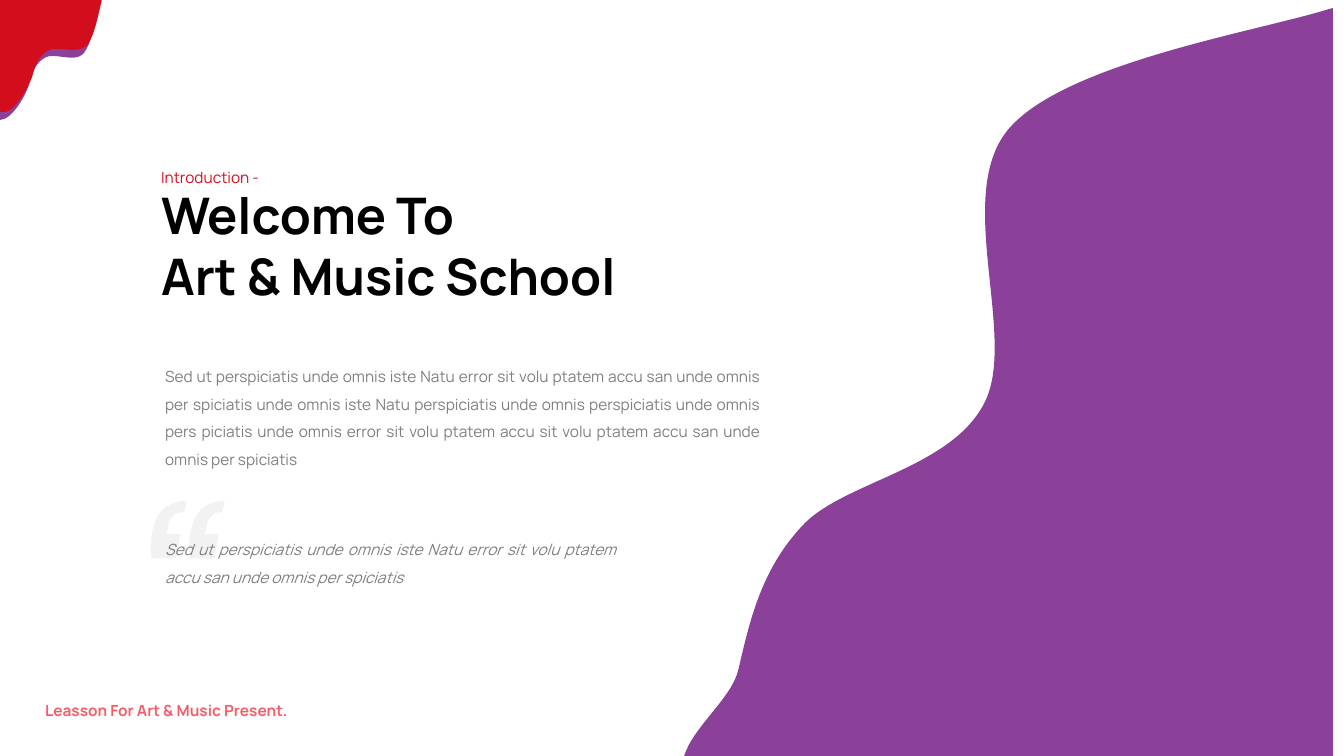
from lxml import etree
from pptx import Presentation
from pptx import util as u
from pptx.dml.color import RGBColor
from pptx.enum import text
from pptx.oxml import ns

PX = 9144
FONT = "Manrope"
COLORS = {
    "purple": "8B409A",
    "red": "D20E1C",
    "coral": "F45E69",
    "grey": "7F7F7F",
    "pale": "F2F2F2",
    "black": "000000",
}

WAVE = [
    (1323, 8), (1323, 750), (679, 750), (681, 745),
    (692, 718, 727, 691, 733, 664), (744, 617, 755, 566, 796, 522),
    (836, 478, 943, 466, 977, 400), (1011, 334, 945, 192, 1002, 127),
    (1059, 62, 1249, 31, 1319, 9),
]
QUOTE_MARK = [
    (223, 497), (221, 508), (216, 508, 212, 509, 210, 512),
    (207, 515, 205, 518, 205, 524), (203, 530), (217, 530), (213, 554),
    (188, 554), (188, 552, 188, 550, 188, 546),
    (188, 540, 188, 534, 189, 528), (191, 518, 195, 510, 200, 505),
    (206, 500, 214, 497, 223, 497),
]
QUOTE_GAP = 38
CORNER_SHADE = [
    (0, 8), (98, 8), (95, 18, 91, 45, 82, 54), (73, 62, 54, 52, 45, 57),
    (36, 62, 32, 71, 29, 83), (26, 94, 12, 119, 0, 119),
]
CORNER = [
    (0, 111), (0, 0), (101, 0), (101, 1), (98, 11, 94, 38, 85, 46),
    (76, 54, 57, 45, 48, 50), (39, 55, 35, 64, 32, 76),
    (28, 87, 13, 115, 1, 111),
]

QUOTE = ("Sed ut perspiciatis unde omnis iste Natu error sit volu ptatem "
         "accu san unde omnis per spiciatis")
BODY = ("Sed ut perspiciatis unde omnis iste Natu error sit volu ptatem "
        "accu san unde omnis per spiciatis unde omnis iste Natu perspiciatis "
        "unde omnis perspiciatis unde omnis pers piciatis unde omnis error sit "
        "volu ptatem accu sit volu ptatem accu san unde omnis per spiciatis")


def rgb(name):
    """Return the named colour."""
    return RGBColor.from_string(COLORS[name])


def bend(line, segment, left, top):
    """Turn a straight outline segment into a cubic curve."""
    line.tag = ns.qn("a:cubicBezTo")
    for point in list(line):
        line.remove(point)
    for x, y in zip(segment[::2], segment[1::2]):
        etree.SubElement(line, ns.qn("a:pt"), x=str(x - left), y=str(y - top))


def add_blob(slide, contours, color):
    """Draw a filled outline of contours; six-number segments are curves."""
    anchors = [[segment[-2:] for segment in contour] for contour in contours]
    left, top = (min(point[axis] for outline in anchors for point in outline)
                 for axis in (0, 1))
    builder = slide.shapes.build_freeform(*anchors[0][0], scale=PX)
    for index, outline in enumerate(anchors):
        if index:
            builder.move_to(*outline[0])
        builder.add_line_segments(outline[1:], close=True)
    shape = builder.convert_to_shape()
    segments = [segment for contour in contours for segment in contour[1:]]
    lines = list(shape.element.iter(ns.qn("a:lnTo")))
    for line, segment in zip(lines, segments):
        if len(segment) == 6:
            bend(line, segment, left, top)
    shape.shadow.inherit = False
    shape.fill.solid()
    shape.fill.fore_color.rgb = rgb(color)
    shape.line.fill.background()


def add_text(slide, box, content, color, size=11, spacing=1.5,
             align=text.PP_ALIGN.JUSTIFY, bold=False, italic=False):
    """Add a wrapping text box with one style throughout."""
    shape = slide.shapes.add_textbox(*(value * PX for value in box))
    frame = shape.text_frame
    frame.word_wrap = True
    frame.auto_size = text.MSO_AUTO_SIZE.SHAPE_TO_FIT_TEXT
    frame.text = content
    for paragraph in frame.paragraphs:
        paragraph.alignment = align
        paragraph.line_spacing = spacing
        for run in paragraph.runs:
            run.font.name = FONT
            run.font.size = u.Pt(size)
            run.font.bold = bold
            run.font.italic = italic
            run.font.color.rgb = rgb(color)


def main():
    """Build the welcome slide and save it."""
    presentation = Presentation()
    presentation.slide_width = 1334 * PX
    presentation.slide_height = 750 * PX
    slide = presentation.slides.add_slide(presentation.slide_layouts[6])

    left_mark = [tuple(value - QUOTE_GAP * (i % 2 == 0) for i, value in enumerate(segment))
                 for segment in QUOTE_MARK]
    add_blob(slide, [WAVE], "purple")
    add_blob(slide, [QUOTE_MARK, left_mark], "pale")
    add_blob(slide, [CORNER_SHADE], "purple")
    add_blob(slide, [CORNER], "red")

    add_text(slide, (154, 350, 611, 120), BODY, "grey")
    add_text(slide, (154, 522, 468, 65), QUOTE, "grey", italic=True)
    add_text(slide, (150, 178, 495, 130), "Welcome To\nArt & Music School", "black",
             size=36, spacing=1.0, align=text.PP_ALIGN.LEFT, bold=True)
    add_text(slide, (150, 153, 168, 38), "Introduction -", "red")
    add_text(slide, (35, 681, 375, 38), "Leasson For Art & Music Present.", "coral", bold=True)

    presentation.save("out.pptx")


if __name__ == "__main__":
    main()
